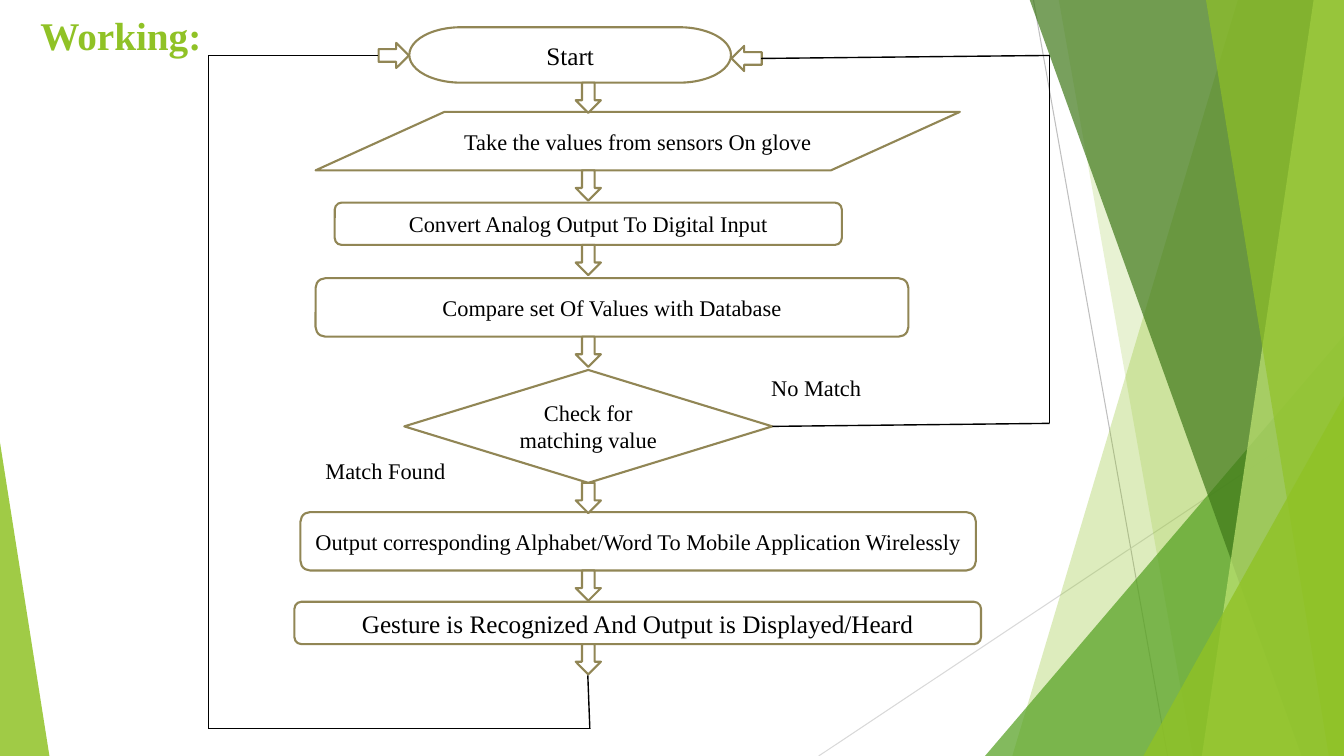
from itertools import pairwise

from lxml import etree
from pptx import Presentation
from pptx.dml.color import RGBColor
from pptx.enum import shapes, text
from pptx.oxml import ns
from pptx.util import Inches, Pt

FONT = "Times New Roman"
INK, GREEN, BROWN, WHITE = "000000", "90C226", "918655", "FFFFFF"
KIND = shapes.MSO_SHAPE
BOX = KIND.FLOWCHART_ALTERNATE_PROCESS

# Backdrop: corner points, colour, opacity in percent
PANES = [
    ([(12.28, -0.01), (13.33, -0.01), (13.33, 7.5), (10.04, 7.5)], GREEN, 30),
    ([(10.5, -0.01), (13.33, -0.01), (13.33, 7.5), (11.83, 7.5)], GREEN, 20),
    ([(13.33, 3.33), (13.33, 7.5), (9.77, 7.5)], "54A021", 72),
    ([(10.21, -0.01), (13.33, -0.01), (13.33, 7.5), (12.91, 7.5)], "3F7819", 70),
    ([(13.03, -0.01), (13.33, -0.01), (13.33, 7.5), (11.92, 7.5)], "C0E474", 70),
    ([(11.96, -0.01), (13.33, -0.01), (13.33, 7.5), (13.18, 7.5)], GREEN, 65),
    ([(13.33, 3.93), (13.33, 7.5), (11.34, 7.5)], GREEN, 80),
    ([(0, 4.39), (0.49, 7.5), (0, 7.5)], GREEN, 85),
]

# Flow steps: preset, left, top, width, height, wording, text size
STEPS = [
    (KIND.FLOWCHART_TERMINATOR, 4.06, 0.27, 3.19, 0.55, "Start", 18),
    (KIND.FLOWCHART_DATA, 3.13, 1.11, 6.39, 0.58,
     "Take the values from sensors On glove", 16),
    (BOX, 3.32, 2.01, 5.03, 0.42, "Convert Analog Output To Digital Input", 16),
    (BOX, 3.13, 2.76, 5.88, 0.58, "Compare set Of Values with Database", 16),
    (KIND.FLOWCHART_DECISION, 4.01, 3.67, 3.65, 1.12,
     "Check for matching value", 16),
    (BOX, 2.98, 5.08, 6.7, 0.58,
     "Output corresponding Alphabet/Word To Mobile Application Wirelessly", 16),
    (BOX, 2.92, 5.97, 6.81, 0.42,
     "Gesture is Recognized And Output is Displayed/Heard", 18),
]

# Return paths to the start
MATCH = [(5.83, 6.7), (5.85, 7.23), (2.07, 7.23), (2.07, 0.55), (3.75, 0.55)]
RETRY = [(7.66, 4.23), (10.41, 4.2), (10.41, 0.55), (7.55, 0.58)]


def tint(form, color):
    form.solid()
    form.fore_color.rgb = RGBColor.from_string(color)


def style(frame, words, size, color=INK, bold=False, align=text.PP_ALIGN.LEFT):
    frame.text = words
    frame.word_wrap = True
    para = frame.paragraphs[0]
    para.alignment = align
    font = para.font
    font.name, font.size, font.bold = FONT, Pt(size), bold
    font.color.rgb = RGBColor.from_string(color)


def pane(slide, points, color, alpha):
    spots = [(Inches(x), Inches(y)) for x, y in points]
    build = slide.shapes.build_freeform(*spots[0])
    build.add_line_segments(spots[1:], close=True)
    shape = build.convert_to_shape()
    shape.shadow.inherit = False
    shape.line.fill.background()
    tint(shape.fill, color)
    tone = shape.fill._xPr.find(".//" + ns.qn("a:srgbClr"))
    etree.SubElement(tone, ns.qn("a:alpha"), val=str(alpha * 1000))


def outline(slide, kind, *place):
    shape = slide.shapes.add_shape(kind, *map(Inches, place))
    shape.shadow.inherit = False
    tint(shape.fill, WHITE)
    tint(shape.line.fill, BROWN)
    shape.line.width = Pt(1.5)
    return shape


def step(slide, kind, left, top, width, height, words, size):
    frame = outline(slide, kind, left, top, width, height).text_frame
    frame.vertical_anchor = text.MSO_ANCHOR.MIDDLE
    style(frame, words, size, align=text.PP_ALIGN.CENTER)


def arrow(slide, left, top, turn=0):
    outline(slide, KIND.DOWN_ARROW, left, top, 0.25, 0.3).rotation = turn


def route(slide, points, color=INK, width=1):
    for start, end in pairwise(points):
        line = slide.shapes.add_connector(
            shapes.MSO_CONNECTOR.STRAIGHT, *map(Inches, start + end))
        tint(line.line.fill, color)
        line.line.width = Pt(width)
        etree.SubElement(line._element.spPr, ns.qn("a:effectLst"))


def label(slide, left, top, width, words):
    box = slide.shapes.add_textbox(*map(Inches, (left, top, width, 0.37)))
    style(box.text_frame, words, 16)


def title(slide, words):
    head = slide.shapes.title
    head.left, head.top, head.width, head.height = map(
        Inches, (0.3, 0.06, 6.67, 0.57))
    head.text_frame.vertical_anchor = text.MSO_ANCHOR.TOP
    style(head.text_frame, words, 28, GREEN, bold=True)


def main():
    deck = Presentation()
    deck.slide_width, deck.slide_height = Inches(13.33), Inches(7.5)
    slide = deck.slides.add_slide(deck.slide_layouts[5])
    title(slide, "Working:")

    # Backdrop
    route(slide, [(10.25, 0), (11.58, 7.5)], "BFBFBF", 0.75)
    route(slide, [(13.33, 4.03), (8.12, 7.5)], "D9D9D9", 0.75)
    for item in PANES:
        pane(slide, *item)

    # Steps, then an arrow below each one
    for item in STEPS:
        step(slide, *item)
    for _, _, top, _, height, _, _ in STEPS:
        arrow(slide, 5.71, top + height)

    # Loops back to the start
    arrow(slide, 7.28, 0.43, 90)
    arrow(slide, 3.78, 0.4, 270)
    route(slide, MATCH)
    route(slide, RETRY)
    label(slide, 7.55, 3.66, 1.79, "No Match")
    label(slide, 3.13, 4.49, 1.67, "Match Found")

    deck.save("out.pptx")


if __name__ == "__main__":
    main()
